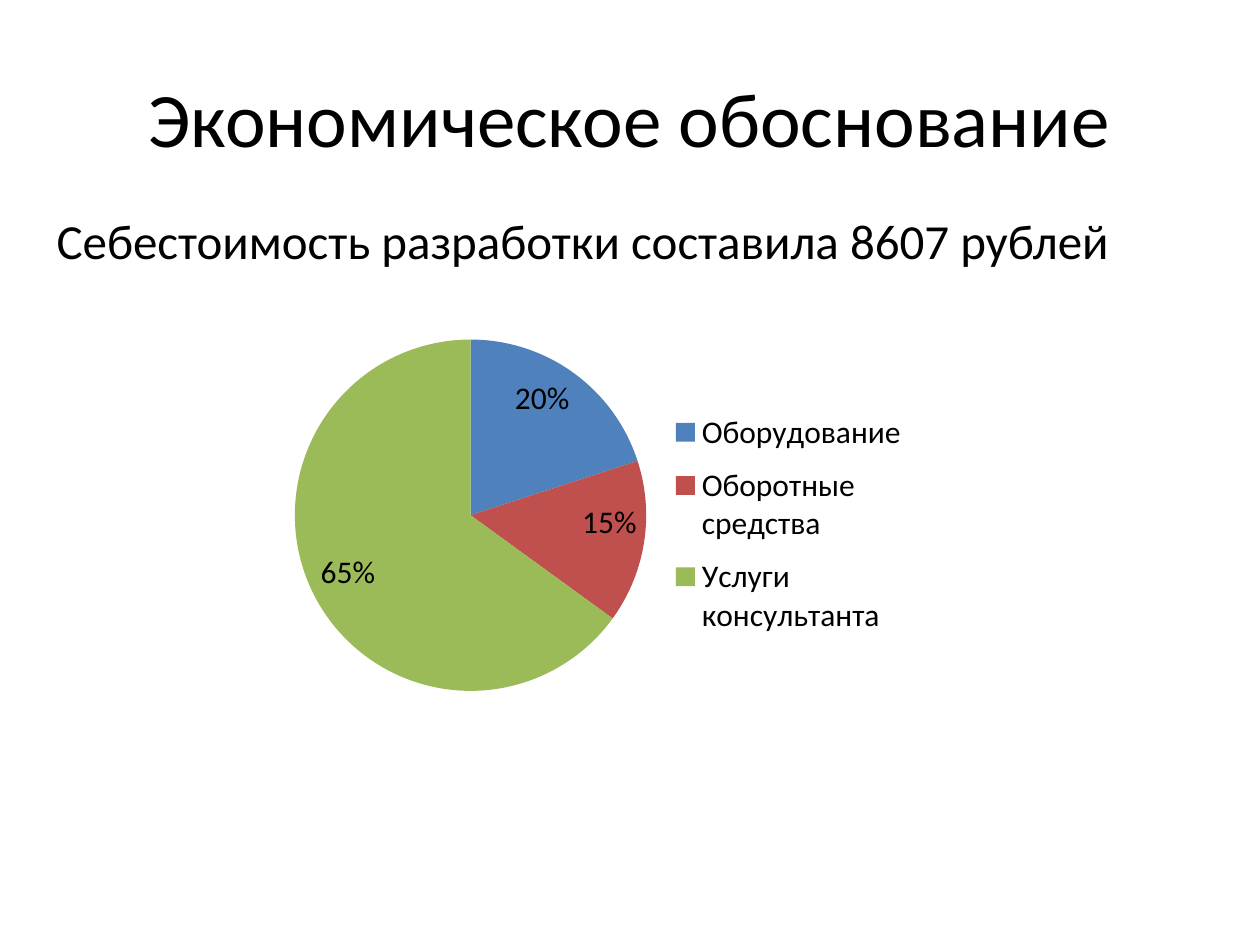
"""Build the economic justification slide with its cost breakdown pie chart."""
from dataclasses import dataclass

from lxml import etree
from pptx import Presentation
from pptx.chart.data import CategoryChartData
from pptx.dml.color import RGBColor
from pptx.enum.chart import XL_CHART_TYPE, XL_LABEL_POSITION, XL_LEGEND_POSITION
from pptx.enum.text import MSO_ANCHOR, PP_ALIGN
from pptx.oxml.ns import qn
from pptx.util import Inches, Pt

PIE = XL_CHART_TYPE.PIE
INSIDE_END = XL_LABEL_POSITION.INSIDE_END
LEGEND_RIGHT = XL_LEGEND_POSITION.RIGHT
MIDDLE, TOP = MSO_ANCHOR.MIDDLE, MSO_ANCHOR.TOP
CENTER, LEFT = PP_ALIGN.CENTER, PP_ALIGN.LEFT
FONT = "Calibri"
BLACK = "000000"


@dataclass
class Box:
    left: float
    top: float
    width: float
    height: float


@dataclass
class CostShare:
    name: str
    percent: int
    color: str


COST_SHARES = [
    CostShare("Оборудование", 20, "4F81BD"),
    CostShare("Оборотные средства", 15, "C0504D"),
    CostShare("Услуги консультанта", 65, "9BBB59"),
]


def rgb(color: str) -> RGBColor:
    return RGBColor.from_string(color)


def style_font(font, size: int) -> None:
    font.name = FONT
    font.size = Pt(size)
    font.color.rgb = rgb(BLACK)


def fill_placeholder(shape, text: str, box: Box, size: int, alignment, anchor) -> None:
    shape.left, shape.top = Inches(box.left), Inches(box.top)
    shape.width, shape.height = Inches(box.width), Inches(box.height)
    text_frame = shape.text_frame
    text_frame.text = text
    text_frame.vertical_anchor = anchor
    paragraph = text_frame.paragraphs[0]
    paragraph.alignment = alignment
    style_font(paragraph.runs[0].font, size)


def remove_bullet(paragraph) -> None:
    properties = paragraph._p.get_or_add_pPr()
    properties.set("marL", "0")
    properties.set("indent", "0")
    etree.SubElement(properties, qn("a:buNone"))


def set_layout(element, box: Box, inner: bool = False) -> None:
    for old_layout in element.findall(qn("c:layout")):
        element.remove(old_layout)
    layout = etree.Element(qn("c:layout"))
    manual = etree.SubElement(layout, qn("c:manualLayout"))
    settings = [("layoutTarget", "inner")] if inner else []
    settings += [("xMode", "edge"), ("yMode", "edge"), ("x", box.left),
                 ("y", box.top), ("w", box.width), ("h", box.height)]
    for tag, value in settings:
        etree.SubElement(manual, qn(f"c:{tag}")).set("val", str(value))
    position = element.find(qn("c:legendPos"))
    element.insert(0 if position is None else 1, layout)


def add_cost_chart(slide, shares: list[CostShare], box: Box) -> None:
    data = CategoryChartData()
    data.categories = [share.name for share in shares]
    data.add_series("Series 1", [share.percent for share in shares])
    chart = slide.shapes.add_chart(
        PIE, Inches(box.left), Inches(box.top),
        Inches(box.width), Inches(box.height), data).chart
    style_font(chart.font, 18)
    chart.has_title = False
    chart.has_legend = True
    chart.legend.position = LEGEND_RIGHT
    chart.legend.include_in_layout = False

    plot = chart.plots[0]
    plot.vary_by_categories = True
    for index, share in enumerate(shares):
        fill = plot.series[0].points[index].format.fill
        fill.solid()
        fill.fore_color.rgb = rgb(share.color)
    plot.has_data_labels = True
    labels = plot.data_labels
    labels.show_percentage = True
    labels.show_value = False
    labels.number_format = "0%"
    labels.number_format_is_linked = False
    labels.position = INSIDE_END
    style_font(labels.font, 18)

    plot_area = chart._chartSpace.chart.plotArea
    set_layout(plot_area, Box(0.11, 0.11, 0.42, 0.84), inner=True)
    set_layout(chart.legend._element, Box(0.55, 0.25, 0.3, 0.6))


def main() -> None:
    presentation = Presentation()
    presentation.slide_width = Inches(10)
    presentation.slide_height = Inches(7.5)
    slide = presentation.slides.add_slide(presentation.slide_layouts[1])
    fill_placeholder(slide.shapes.title, "Экономическое обоснование",
                     Box(0.5, 0.3, 9, 1.25), 44, CENTER, MIDDLE)
    body = slide.placeholders[1]
    fill_placeholder(body, "Себестоимость разработки составила 8607 рублей",
                     Box(0.35, 1.62, 9, 4.95), 28, LEFT, TOP)
    remove_bullet(body.text_frame.paragraphs[0])
    add_cost_chart(slide, COST_SHARES, Box(1.61, 2.33, 6.64, 3.32))
    presentation.save("out.pptx")


if __name__ == "__main__":
    main()
